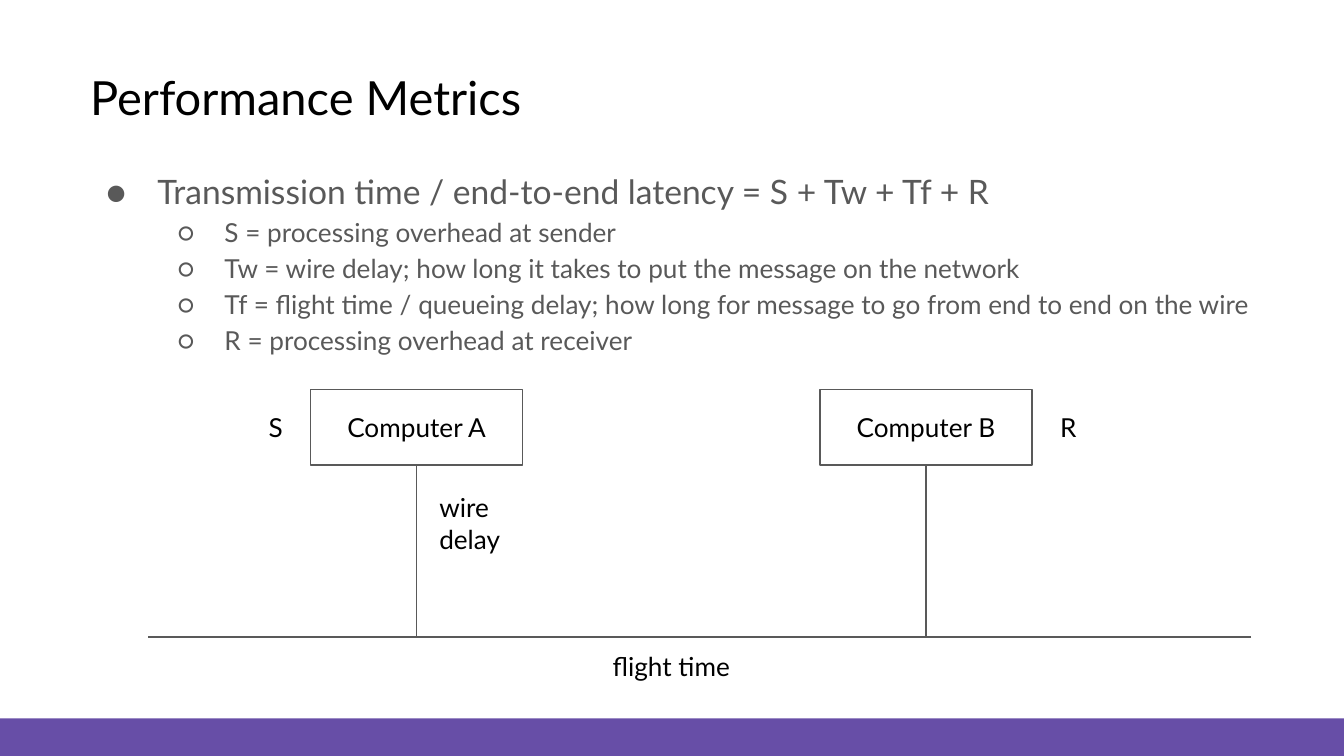
import pptx
import pptx.util
import pptx.dml.color
import pptx.enum.shapes
import pptx.enum.text
import pptx.oxml.ns
import lxml.etree

COLORS = {"ink": "000000", "muted": "595959", "band": "674EA7"}
ALIGN = pptx.enum.text.PP_ALIGN
ANCHOR = pptx.enum.text.MSO_ANCHOR


class Board:
    font = "Lato"
    columns = 100
    rows = 56.25
    line_width = 0.75

    def __init__(self, deck):
        self.deck = deck
        self.page = deck.slides.add_slide(deck.slide_layouts[1])

    def x(self, column):
        return int(self.deck.slide_width * column / self.columns)

    def y(self, row):
        return int(self.deck.slide_height * row / self.rows)

    def area(self, column, row, width, height):
        return self.x(column), self.y(row), self.x(width), self.y(height)

    def color(self, name):
        return pptx.dml.color.RGBColor.from_string(COLORS[name])

    def style(self, para, size, color="ink", align=ALIGN.LEFT):
        para.alignment = align
        para.font.name = self.font
        para.font.size = pptx.util.Pt(size)
        para.font.color.rgb = self.color(color)

    def frame(self, shape, anchor=ANCHOR.TOP):
        frame = shape.text_frame
        frame.auto_size = pptx.enum.text.MSO_AUTO_SIZE.NONE
        frame.word_wrap = True
        frame.vertical_anchor = anchor
        inset = pptx.util.Inches(0.1)
        frame.margin_left = frame.margin_right = inset
        frame.margin_top = frame.margin_bottom = inset
        return frame

    def caption(self, shape, text, size, align=ALIGN.LEFT, anchor=ANCHOR.TOP):
        frame = self.frame(shape, anchor)
        frame.text = text
        self.style(frame.paragraphs[0], size, align=align)

    def place(self, shape, *cells):
        shape.left, shape.top, shape.width, shape.height = self.area(*cells)

    def title(self, text, *cells):
        shape = self.page.shapes.title
        self.place(shape, *cells)
        self.caption(shape, text, 25.2)

    def bullet(self, para, symbol, margin, indent):
        props = para._p.get_or_add_pPr()
        props.set("marL", str(pptx.util.Inches(margin)))
        props.set("indent", str(pptx.util.Inches(indent)))
        tint = lxml.etree.SubElement(props, pptx.oxml.ns.qn("a:buClr"))
        lxml.etree.SubElement(tint, pptx.oxml.ns.qn("a:srgbClr"), val=COLORS["muted"])
        lxml.etree.SubElement(props, pptx.oxml.ns.qn("a:buFont"), typeface=self.font)
        lxml.etree.SubElement(props, pptx.oxml.ns.qn("a:buChar"), char=symbol)

    def bullets(self, items, *cells):
        levels = [("●", 0.5, -0.38, 18), ("○", 1, -0.35, 14)]
        body = self.page.placeholders[1]
        self.place(body, *cells)
        frame = self.frame(body)
        frame.text = "\n".join(text for level, text in items)
        for para, (level, text) in zip(frame.paragraphs, items):
            symbol, margin, indent, size = levels[level]
            para.level = level
            para.line_spacing = 1.15
            para.space_before = pptx.util.Pt(0)
            self.bullet(para, symbol, margin, indent)
            self.style(para, size, "muted")

    def rectangle(self, *cells):
        kind = pptx.enum.shapes.MSO_SHAPE.RECTANGLE
        shape = self.page.shapes.add_shape(kind, *self.area(*cells))
        shape.shadow.inherit = False
        return shape

    def band(self, *cells):
        shape = self.rectangle(*cells)
        shape.fill.solid()
        shape.fill.fore_color.rgb = self.color("band")
        shape.line.fill.background()

    def outline(self, line):
        line.color.rgb = self.color("muted")
        line.width = pptx.util.Pt(self.line_width)

    def node(self, text, *cells):
        shape = self.rectangle(*cells)
        shape.fill.background()
        self.outline(shape.line)
        self.caption(shape, text, 14, ALIGN.CENTER, ANCHOR.MIDDLE)
        return shape

    def line(self, start, end, source=None):
        kind = pptx.enum.shapes.MSO_CONNECTOR.STRAIGHT
        line = self.page.shapes.add_connector(
            kind, self.x(start[0]), self.y(start[1]), self.x(end[0]), self.y(end[1]))
        self.outline(line.line)
        lxml.etree.SubElement(line._element.spPr, pptx.oxml.ns.qn("a:effectLst"))
        if source is not None:
            line.begin_connect(source, 2)

    def label(self, text, *cells, align=ALIGN.LEFT):
        box = self.page.shapes.add_textbox(*self.area(*cells))
        self.caption(box, text, 14, align)


def main():
    deck = pptx.Presentation()
    deck.slide_width = pptx.util.Inches(10)
    deck.slide_height = pptx.util.Inches(5.625)
    board = Board(deck)

    board.band(0, 53.45, 100, 2.8)
    board.title("Performance Metrics", 5.7, 4.1, 88.6, 6.3)
    board.bullets([
        (0, "Transmission time / end-to-end latency = S + Tw + Tf + R"),
        (1, "S = processing overhead at sender"),
        (1, "Tw = wire delay; how long it takes to put the message on the network"),
        (1, "Tf = flight time / queueing delay; how long for message to go from end to end on the wire"),
        (1, "R = processing overhead at receiver"),
    ], 5.7, 11.3, 88.6, 16.9)

    node_top, node_width, node_height, wire_row = 29, 15.8, 5.6, 47.4
    centers = {"Computer A": 31, "Computer B": 68.9}
    for name, center in centers.items():
        node = board.node(name, center - node_width / 2, node_top, node_width, node_height)
        board.line((center, node_top + node_height), (center, wire_row), node)
    board.line((93.1, wire_row), (11, wire_row))

    for text, column in (("S", 19), ("R", 77.9)):
        board.label(text, column, 29.6, 3.3, 4.4)
    board.label("wire delay", 31.7, 35.6, 8.2, 6.7)
    board.label("flight time", 31, wire_row, 37.9, 4.4, align=ALIGN.CENTER)

    deck.save("out.pptx")


if __name__ == "__main__":
    main()
